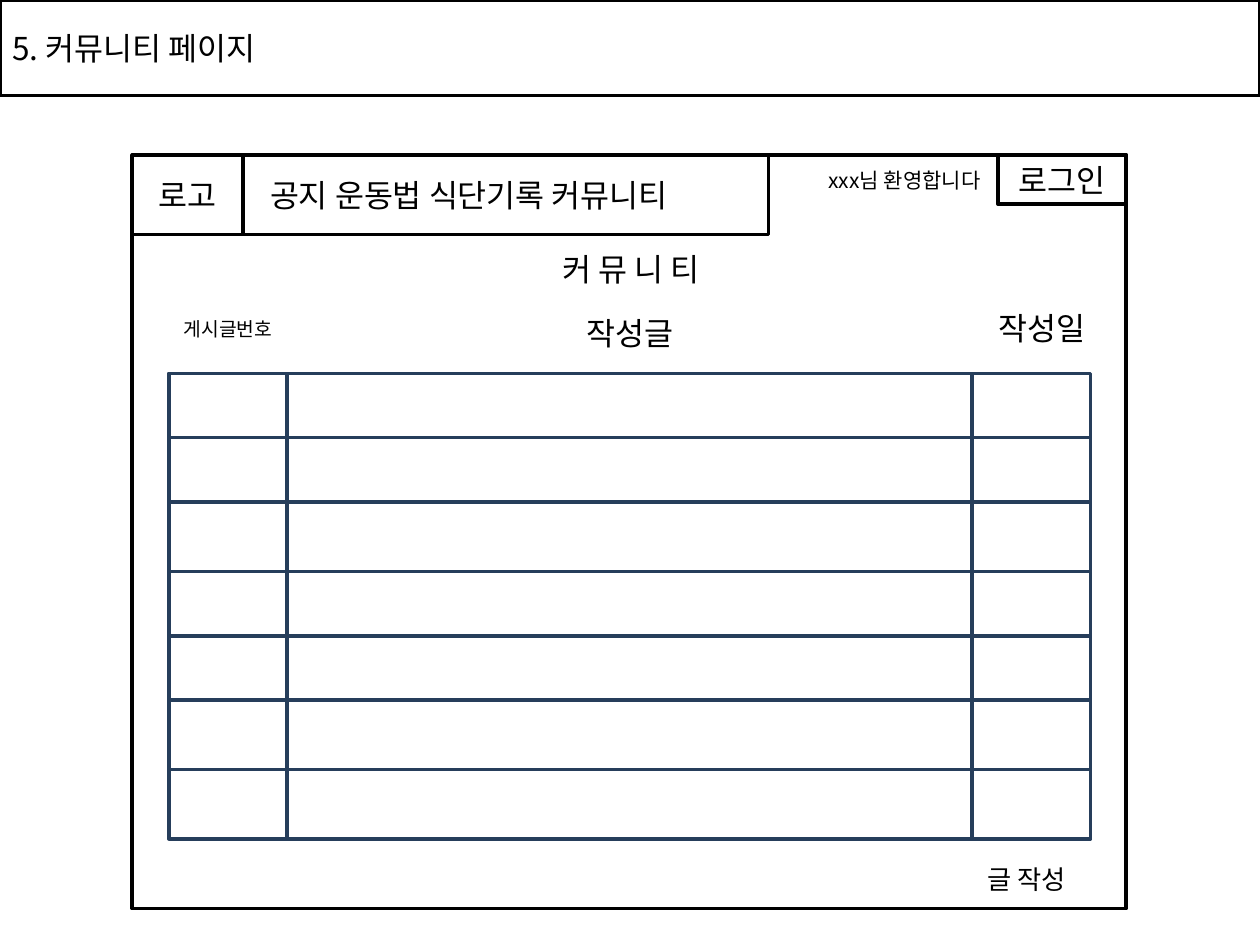
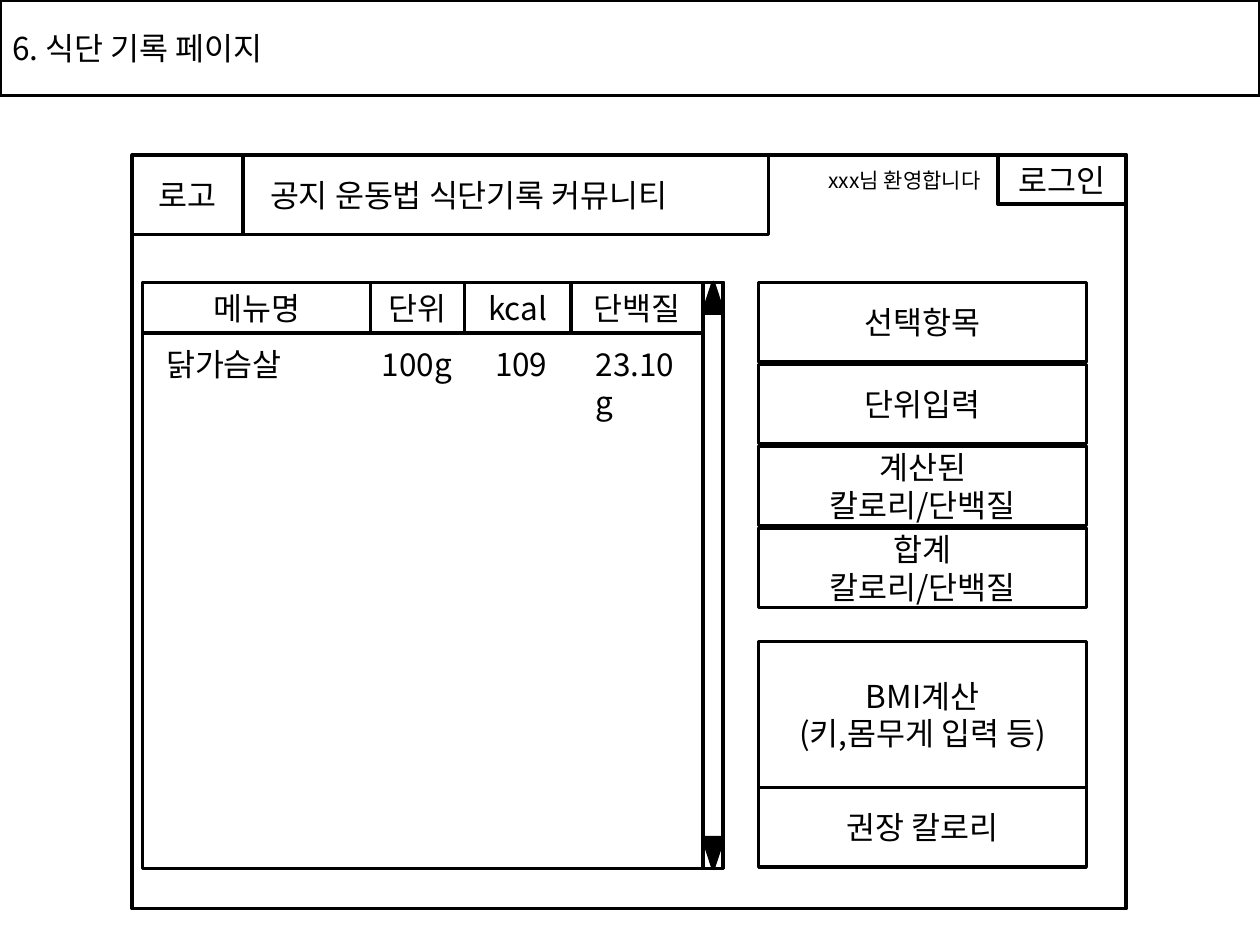
from dataclasses import dataclass
from itertools import accumulate

from lxml.etree import SubElement
from pptx import Presentation
from pptx.dml.color import RGBColor
from pptx.enum.shapes import MSO_SHAPE as Shape
from pptx.enum.text import MSO_ANCHOR as Anchor, MSO_AUTO_SIZE as AutoSize, PP_ALIGN as Align
from pptx.oxml.ns import qn
from pptx.util import Pt


@dataclass(frozen=True)
class Theme:
    """Colours, type sizes and line width of the wireframes."""
    font: str = "Noto Sans CJK KR"
    ink: str = "000000"
    paper: str = "FFFFFF"
    grid: str = "263E5B"
    body: float = 18
    button: float = 15
    note: float = 12
    small: float = 11
    stroke: float = 2


THEME = Theme()
PAGE_WIDTH, PAGE_HEIGHT = 720, 540
FRAME_LEFT, FRAME_TOP, FRAME_WIDTH, FRAME_HEIGHT = 75.6, 88.6, 568, 430.6
FRAME_RIGHT = FRAME_LEFT + FRAME_WIDTH
HEADER_HEIGHT, LOGIN_HEIGHT = 45.4, 28.1
LOGO_WIDTH, NAV_WIDTH, LOGIN_WIDTH = 63.4, 300.2, 73.4


def apply(target, values):
    """Set every named format value on the target."""
    for name, value in values.items():
        setattr(target, name, value)


class Wireframe:
    """Holds the theme and the current slide, and draws its elements."""

    def __init__(self, deck, theme):
        """Keep the deck and the theme."""
        self.deck, self.theme, self.slide = deck, theme, None

    def start_page(self, title):
        """Add a slide with the title band, browser frame and site header."""
        self.slide = self.deck.slides.add_slide(self.deck.slide_layouts[6])
        self.box(0, 0, PAGE_WIDTH, 54.7, title, align=Align.LEFT)
        self.box(FRAME_LEFT, FRAME_TOP, FRAME_WIDTH, FRAME_HEIGHT)

        login_left = FRAME_RIGHT - LOGIN_WIDTH
        nav_left = FRAME_LEFT + LOGO_WIDTH
        greeting_left = nav_left + NAV_WIDTH
        self.box(login_left, FRAME_TOP, LOGIN_WIDTH, LOGIN_HEIGHT, "로그인")
        self.box(FRAME_LEFT, FRAME_TOP, LOGO_WIDTH, HEADER_HEIGHT, "로고")
        self.box(nav_left, FRAME_TOP, NAV_WIDTH, HEADER_HEIGHT,
                 "공지 운동법 식단기록 커뮤니티", align=Align.LEFT, margin_left=Pt(15.3))
        self.text(greeting_left, FRAME_TOP, login_left - greeting_left, LOGIN_HEIGHT,
                  "xxx님 환영합니다", self.theme.note, Align.RIGHT,
                  word_wrap=True, vertical_anchor=Anchor.MIDDLE, margin_right=Pt(9.9))

    def group(self):
        """Return the shapes of a new group."""
        return self.slide.shapes.add_group_shape().shapes

    def box(self, left, top, width, height, words="", size=None, align=Align.CENTER,
            line=None, fill=None, kind=Shape.RECTANGLE, parent=None, **frame_format):
        """Draw an outlined shape, with centred words unless told otherwise."""
        shapes = self.slide.shapes if parent is None else parent
        shape = shapes.add_shape(kind, Pt(left), Pt(top), Pt(width), Pt(height))
        shape.shadow.inherit = False
        if fill:
            shape.fill.solid()
            shape.fill.fore_color.rgb = RGBColor.from_string(fill)
        else:
            shape.fill.background()
        shape.line.width = Pt(self.theme.stroke)
        shape.line.color.rgb = RGBColor.from_string(line or self.theme.ink)
        if words:
            frame_format = {"word_wrap": True, "vertical_anchor": Anchor.MIDDLE, **frame_format}
            self.set_words(shape.text_frame, words, size, align, frame_format)
        return shape

    def label(self, left, top, width, height, words, size=None):
        """Draw words on a plain paper-coloured box."""
        paper = self.theme.paper
        self.box(left, top, width, height, words, size, line=paper, fill=paper)

    def text(self, left, top, width, height, words, size=None, align=Align.LEFT,
             parent=None, **frame_format):
        """Draw a text box."""
        shapes = self.slide.shapes if parent is None else parent
        words_box = shapes.add_textbox(Pt(left), Pt(top), Pt(width), Pt(height))
        self.set_words(words_box.text_frame, words, size, align, frame_format)

    def set_words(self, frame, words, size, align, frame_format):
        """Fill a text frame, one paragraph for each line of words."""
        apply(frame, frame_format)
        font_format = {"name": self.theme.font, "size": Pt(size or self.theme.body)}
        frame.text = words
        for paragraph in frame.paragraphs:
            paragraph.alignment = align
            for run in paragraph.runs:
                apply(run.font, font_format)
                run.font.color.rgb = RGBColor.from_string(self.theme.ink)
                east_asian = SubElement(run.font._element, qn("a:ea"))
                east_asian.set("typeface", self.theme.font)

    def scrollbar(self, left, top, width, height, arrow_height):
        """Draw a scroll track with an arrow at each end."""
        parts, ink = self.group(), self.theme.ink
        self.box(left, top, width, height, parent=parts)
        for arrow_top, turn in ((top, 0), (top + height - arrow_height, 180)):
            arrow = self.box(left, arrow_top, width, arrow_height, fill=ink,
                             kind=Shape.ISOSCELES_TRIANGLE, parent=parts)
            arrow.rotation = turn


def community_page(page):
    """Draw the board with its column labels and empty post rows."""
    theme = page.theme
    page.start_page("5. 커뮤니티 페이지")
    page.label(193, 139.7, 334.8, 28.1, "커 뮤 니 티")
    page.label(553, 491, 67.7, 22.3, "글 작성", theme.button)
    page.label(93.6, 167.8, 73.4, 39.6, "게시글번호", theme.small)
    page.label(181.4, 173.5, 357.1, 33.8, "작성글")
    page.label(558.7, 167.8, 73.4, 39.6, "작성일")

    side_width, post_width, row_height = 67.7, 391, 39.6
    number_left, post_left, date_left = 96.5, 164.2, 555.6
    row_steps = (36.8, 36.8, row_height, 36.8, 36.8, row_height)
    for top in accumulate(row_steps, initial=213.3):
        for left, width in ((number_left, side_width), (date_left, side_width),
                            (post_left, post_width)):
            page.box(left, top, width, row_height, line=theme.grid, fill=theme.paper)


def diet_page(page):
    """Draw the food list with its scrollbar and the calculation panels."""
    page.start_page("6. 식단 기록 페이지")
    top, height = 161.4, 334.8
    list_left, list_width, track_width = 81.5, 331.8, 11.5
    page.box(list_left, top, list_width, height)
    page.scrollbar(list_left + list_width - track_width, top, track_width, height, 17.5)

    columns = (("메뉴명", 130.2), ("단위", 53.7), ("kcal", 60.8), ("단백질", 75.6))
    lefts = accumulate((width for _, width in columns), initial=list_left)
    headings = page.group()
    for (heading, width), left in zip(columns, lefts):
        page.box(left, top, width, 28.8, heading, parent=headings)

    food = page.group()
    for value, left, width in (("닭가슴살", 87.8, 87.1), ("100g", 211, 55.4),
                               ("109", 275.8, 44.6), ("23.10g", 333.4, 69.1)):
        page.text(left, 193.7, width, 28.8, value, parent=food,
                  word_wrap=False, auto_size=AutoSize.SHAPE_TO_FIT_TEXT)

    panel_left, panel_width, panel_height, pitch = 433.6, 187.2, 45.4, 46.8
    panels = ("선택항목", "단위입력", "계산된\n칼로리/단백질", "합계\n칼로리/단백질")
    for row, words in enumerate(panels):
        page.box(panel_left, top + row * pitch, panel_width, panel_height, words)
    bmi_top, bmi_height = 366.5, 83.5
    page.box(panel_left, bmi_top, panel_width, bmi_height, "BMI계산\n(키,몸무게 입력 등)")
    page.box(panel_left, bmi_top + bmi_height, panel_width, panel_height, "권장 칼로리")


def main():
    """Build both pages and save the deck."""
    deck = Presentation()
    apply(deck, {"slide_width": Pt(PAGE_WIDTH), "slide_height": Pt(PAGE_HEIGHT)})
    page = Wireframe(deck, THEME)
    community_page(page)
    diet_page(page)
    deck.save("out.pptx")


main()
